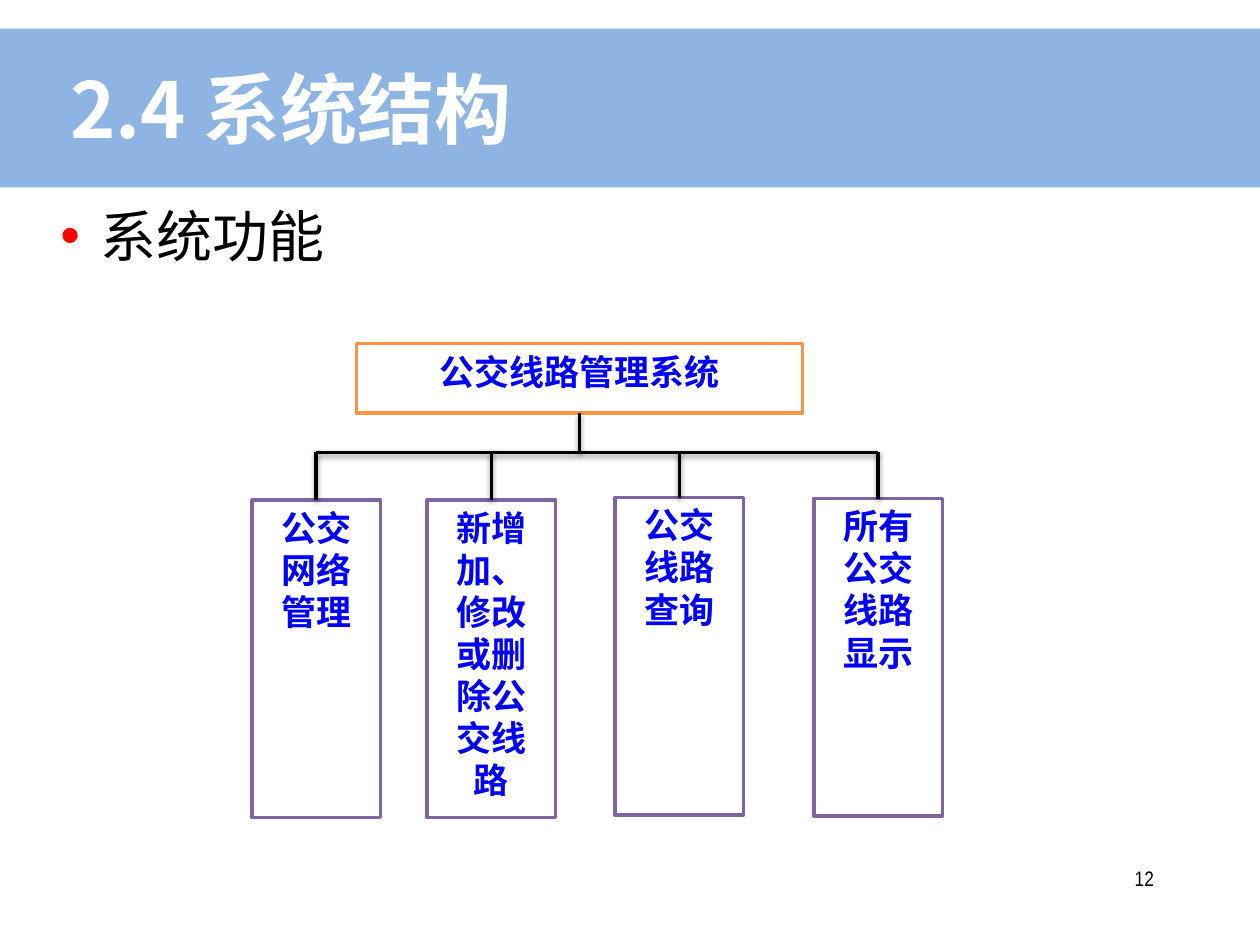
from pptx import Presentation
from pptx.dml.color import RGBColor
from pptx.enum.shapes import MSO_CONNECTOR as Link, MSO_SHAPE as Preset
from pptx.enum.text import MSO_ANCHOR as Anchor, PP_ALIGN as Align
from pptx.oxml import parse_xml
from pptx.oxml.ns import nsdecls
from pptx.util import Cm, Pt

COLORS = {
    "band": "8EB4E3", "white": "FFFFFF", "black": "000000", "bullet": "FF0000",
    "root": "F79646", "module": "8064A2", "label": "0000FF",
}
CJK, NARROW = "Noto Sans CJK SC", "Arial Narrow"
MODULE_WIDTH, MODULE_HEIGHT = 2.59, 6.4
# Text, left and top of each module, relative to the chart
MODULES = [
    ("公交网络管理", 0, 3.15),
    ("新增加、修改或删除公交线路", 3.53, 3.15),
    ("公交线路查询", 7.32, 3.1),
    ("所有公交线路显示", 11.33, 3.12),
]


def rgb(name):
    return RGBColor.from_string(COLORS[name])


def write(shape, text, size, font, color, bold=False, align=Align.LEFT,
          anchor=Anchor.TOP, margins=(0.23, 0.1)):
    frame = shape.text_frame
    frame.word_wrap = True
    frame.vertical_anchor = anchor
    frame.margin_left = frame.margin_right = Cm(margins[0])
    frame.margin_top = frame.margin_bottom = Cm(margins[1])
    frame.text = text
    paragraph = frame.paragraphs[0]
    paragraph.alignment = align
    run = paragraph.runs[0]
    run.font.size, run.font.bold, run.font.name = Pt(size), bold, font
    run.font.color.rgb = rgb(color)
    if font == CJK:
        run.font._element.append(
            parse_xml(f'<a:ea {nsdecls("a")} typeface="{font}"/>'))
    return paragraph


def add_text(slide, left, top, width, height, *args, **kwargs):
    box = slide.shapes.add_textbox(Cm(left), Cm(top), Cm(width), Cm(height))
    return write(box, *args, **kwargs)


def add_rect(slide, left, top, width, height, fill, line=None):
    rect = slide.shapes.add_shape(
        Preset.RECTANGLE, Cm(left), Cm(top), Cm(width), Cm(height))
    rect.shadow.inherit = False
    rect.fill.solid()
    rect.fill.fore_color.rgb = rgb(fill)
    if line:
        rect.line.color.rgb = rgb(line)
        rect.line.width = Pt(2)
    else:
        rect.line.fill.background()
    return rect


def add_node(slide, left, top, width, height, text, line):
    node = add_rect(slide, left, top, width, height, "white", line)
    paragraph = write(node, text, 20, NARROW, "label", bold=True,
                      align=Align.CENTER, margins=(0.25, 0.13))
    paragraph.space_before = Pt(4)


def add_branch(slide, x1, y1, x2, y2):
    branch = slide.shapes.add_connector(
        Link.STRAIGHT, Cm(x1), Cm(y1), Cm(x2), Cm(y2))
    branch.line.color.rgb = rgb("black")
    branch.line.width = Pt(2)
    # Soft shadow straight below the line
    branch._element.spPr.append(parse_xml(
        f'<a:effectLst {nsdecls("a")}>'
        f'<a:outerShdw blurRad="{Pt(3.1)}" dist="{Pt(1.6)}" dir="5400000" rotWithShape="0">'
        f'<a:srgbClr val="{COLORS["black"]}"><a:alpha val="38000"/></a:srgbClr>'
        '</a:outerShdw></a:effectLst>'))


def add_header(slide, left, top, width, height):
    add_rect(slide, left, top, width, height, "band")
    add_text(slide, left + 1.19, top, 21.6, height, "2.4 系统结构", 44, CJK,
             "white", bold=True, anchor=Anchor.MIDDLE)


def add_body(slide, left, top, width, height):
    topic = add_text(slide, left, top, width, height, "系统功能", 32, CJK, "black")
    topic.space_before = Pt(6.4)
    properties = topic._p.get_or_add_pPr()
    properties.set("marL", str(Cm(0.81)))
    properties.set("indent", str(-Cm(0.81)))
    for bullet in (
        f'<a:buClr {nsdecls("a")}><a:srgbClr val="{COLORS["bullet"]}"/></a:buClr>',
        f'<a:buFont {nsdecls("a")} typeface="Arial"/>',
        f'<a:buChar {nsdecls("a")} char="•"/>',
    ):
        properties.append(parse_xml(bullet))


def add_structure_chart(slide, left, top):
    root_left, root_width, root_height = left + 2.11, 8.99, 1.4
    add_node(slide, root_left, top, root_width, root_height,
             "公交线路管理系统", "root")
    for text, x, y in MODULES:
        add_node(slide, left + x, top + y, MODULE_WIDTH, MODULE_HEIGHT,
                 text, "module")

    # Trunk, crossbar and one drop to each module
    bar = top + 2.19
    centers = [left + x + MODULE_WIDTH / 2 for _, x, _ in MODULES]
    trunk = root_left + root_width / 2
    add_branch(slide, centers[0], bar, centers[-1], bar)
    add_branch(slide, trunk, top + root_height, trunk, bar)
    for center, (_, _, y) in zip(centers, MODULES):
        add_branch(slide, center, bar, center, top + y)


def add_page_number(slide, left, top, width, height):
    add_text(slide, left, top, width, height, "12", 12, NARROW, "black",
             align=Align.RIGHT)


def main():
    deck = Presentation()
    deck.slide_width, deck.slide_height = Cm(25.4), Cm(19.05)
    slide = deck.slides.add_slide(deck.slide_layouts[6])
    add_header(slide, 0, 0.58, 25.4, 3.2)
    add_body(slide, 0.99, 3.96, 23.01, 13.28)
    add_structure_chart(slide, 5.08, 6.93)
    add_page_number(slide, 21.51, 17.35, 1.98, 1.27)
    deck.save("out.pptx")


if __name__ == "__main__":
    main()
